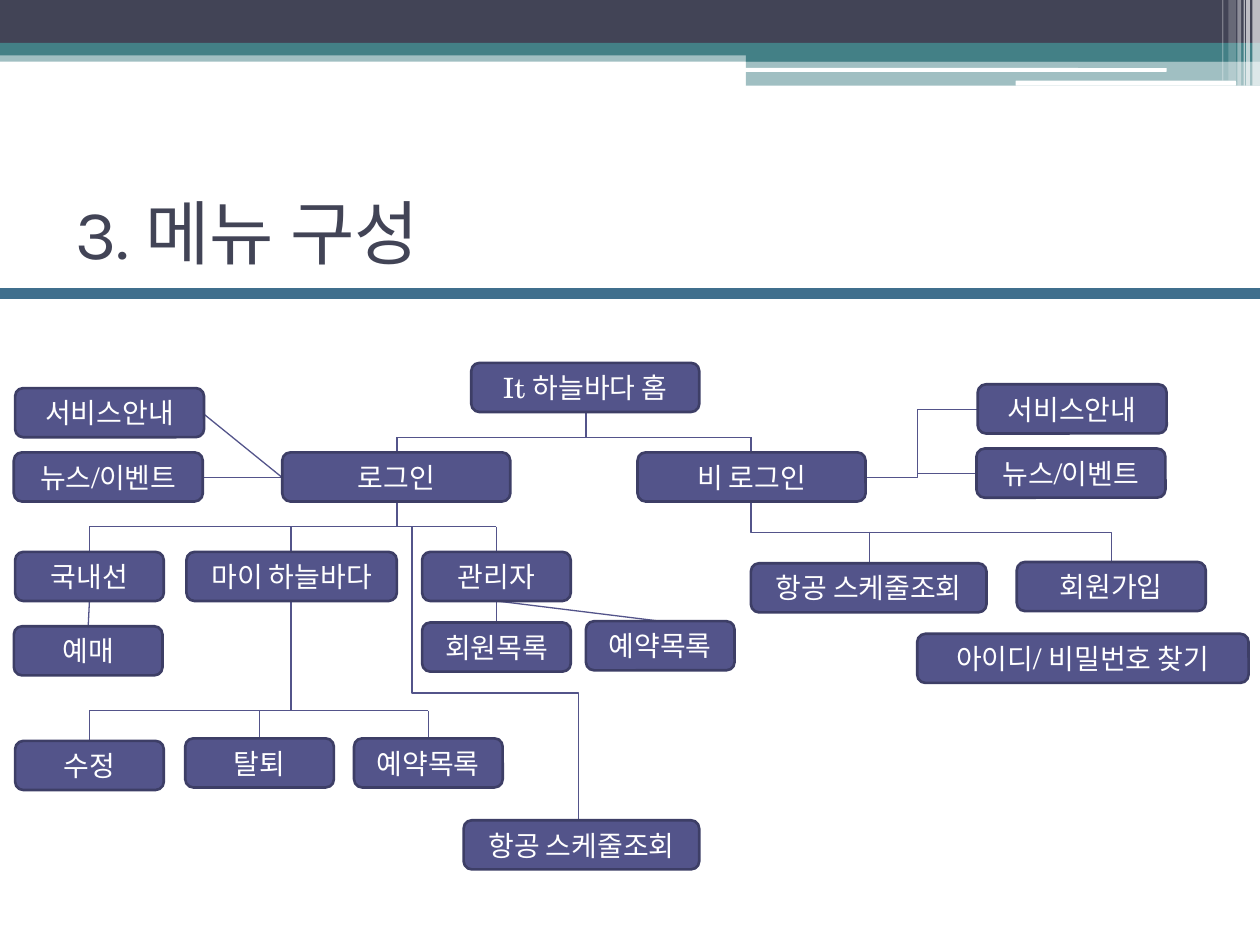
"""Builds the menu structure slide: banner, title and site tree."""
from lxml import etree
from pptx import Presentation
from pptx.dml.color import RGBColor
from pptx.enum.shapes import MSO_CONNECTOR, MSO_SHAPE
from pptx.enum.text import MSO_ANCHOR, PP_ALIGN
from pptx.oxml.ns import qn
from pptx.util import Inches, Pt

RECT, ROUND = MSO_SHAPE.RECTANGLE, MSO_SHAPE.ROUNDED_RECTANGLE
STRAIGHT, ELBOW = MSO_CONNECTOR.STRAIGHT, MSO_CONNECTOR.ELBOW
MIDDLE, CENTER = MSO_ANCHOR.MIDDLE, PP_ALIGN.CENTER
WHITE = RGBColor(0xFF, 0xFF, 0xFF)
NAVY = RGBColor(0x42, 0x44, 0x56)
TEAL = RGBColor(0x43, 0x80, 0x86)
BLUE = RGBColor(0x40, 0x6F, 0x8D)
VIOLET = RGBColor(0x53, 0x54, 0x8A)
EDGE = RGBColor(0x3D, 0x3E, 0x66)

deck = Presentation()
deck.slide_width, deck.slide_height = Inches(10), Inches(7.5)
COL, ROW = deck.slide_width / 100, deck.slide_height / 75
slide = deck.slides.add_slide(deck.slide_layouts[6])


def block(kind, left, top, wide, high, color, alpha=100):
    shape = slide.shapes.add_shape(kind, int(left * COL), int(top * ROW),
                                   int(wide * COL), int(high * ROW))
    shape.shadow.inherit = False
    shape.fill.solid()
    shape.fill.fore_color.rgb = color
    shape.line.fill.background()
    if alpha < 100:
        tint = shape.fill._xPr.find(".//" + qn("a:srgbClr"))
        etree.SubElement(tint, qn("a:alpha")).set("val", str(alpha * 1000))
    return shape


def link(kind, x1, y1, x2, y2, color=VIOLET, width=0.75):
    line = slide.shapes.add_connector(kind, int(x1 * COL), int(y1 * ROW),
                                      int(x2 * COL), int(y2 * ROW))
    line.line.color.rgb = color
    line.line.width = Pt(width)
    etree.SubElement(line._element.spPr, qn("a:effectLst"))
    return line


bands = [
    (RECT, 0, 4, 100, 0.9, TEAL, 50),
    (RECT, 0, 0, 100, 3.4, NAVY, 100),
    (RECT, 0, 3.4, 100, 1, TEAL, 100),
    (RECT, 59.2, 3.9, 40.8, 1, TEAL, 100),
    (RECT, 59.2, 4.8, 40.8, 2, TEAL, 50),
    (ROUND, 59.1, 5.4, 33.5, 0.3, WHITE, 100),
    (ROUND, 80.6, 6.4, 17.5, 0.4, WHITE, 100),
]
for band in bands:
    block(*band)

stripes = [(99.4, 0.6, 6.8, 65), (98.9, 0.3, 6.8, 65), (98.7, 0.1, 6.8, 60),
           (98.2, 0.3, 6.8, 40), (97.5, 0.6, 6.4, 20), (97, 0.1, 6.4, 30)]
for left, wide, high, alpha in stripes:
    block(RECT, left, 0, wide, high, WHITE, alpha)

title = slide.shapes.add_textbox(int(5 * COL), int(12.5 * ROW),
                                 int(90 * COL), int(11.7 * ROW))
title.text_frame.word_wrap = True
title.text_frame.vertical_anchor = MIDDLE
run = title.text_frame.paragraphs[0].add_run()
run.text = "3. 메뉴 구성"
run.font.size, run.font.name = Pt(40), "Karla"
run.font.color.rgb = NAVY
link(STRAIGHT, 0, 23.3, 100, 23.3, BLUE, 6)

falls = [
    (46.5, 32.8, 34.7), (31.5, 34.7, 35.9), (59.6, 34.7, 35.9),
    (31.5, 39.9, 41.8), (7.1, 41.8, 43.8), (23.1, 41.8, 43.8),
    (39.4, 41.8, 43.8), (39.4, 47.7, 49.4), (23.1, 47.7, 56.4),
    (7.1, 56.4, 58.8), (20.6, 56.4, 58.6), (34, 56.4, 58.6),
    (69, 42.2, 44.7),
]
for x, top, end in falls:
    link(STRAIGHT, x, top, x, end)

spans = [
    (34.7, 46.5, 31.5), (34.7, 46.5, 59.6), (41.8, 31.5, 7.1),
    (41.8, 31.5, 39.4), (56.4, 23.1, 7.1), (56.4, 23.1, 34),
    (37.9, 16, 24.8), (32.5, 72.8, 77.6), (37.6, 77.5, 72.8),
]
for y, left, end in spans:
    link(STRAIGHT, left, y, end, y)

for slant in [(16.1, 32.8, 22.4, 37.9), (39.4, 47.7, 52.4, 49.3),
              (7, 49.7, 7.1, 47.7)]:
    link(STRAIGHT, *slant)

corner = link(ELBOW, 68.7, 37.9, 72.8, 32.5)
corner._element.spPr.prstGeom.set("prst", "bentConnector2")

for x1, y1, x2, y2 in [(32.7, 41.8, 45.9, 68.2), (59.6, 39.9, 88.2, 44.6)]:
    midx, midy = (x1 + x2) / 2, (y1 + y2) / 2
    halfx, halfy = (y2 - y1) / 2, (x2 - x1) / 2
    bend = link(ELBOW, midx - halfx, midy - halfy, midx + halfx, midy + halfy)
    frame = bend._element.spPr.find(qn("a:xfrm"))
    frame.set("rot", "16200000")
    frame.set("flipH", "1")

menu = {
    18.1: [("It 하늘바다 홈", 37.4, 28.8), ("로그인", 22.4, 35.9),
           ("비 로그인", 50.6, 35.9)],
    15: [("서비스안내", 1.2, 30.8), ("뉴스/이벤트", 1.1, 35.9),
         ("서비스안내", 77.6, 30.5), ("뉴스/이벤트", 77.5, 35.6),
         ("회원가입", 80.7, 44.6)],
    11.8: [("국내선", 1.2, 43.8), ("관리자", 33.5, 43.8),
           ("예매", 1.1, 49.7), ("회원목록", 33.5, 49.4),
           ("예약목록", 46.5, 49.3), ("수정", 1.2, 58.8),
           ("탈퇴", 14.7, 58.6), ("예약목록", 28.1, 58.6)],
    16.7: [("마이 하늘바다", 14.8, 43.8)],
    18.7: [("항공 스케줄조회", 36.8, 65.1), ("항공 스케줄조회", 59.6, 44.7)],
    26.3: [("아이디/ 비밀번호 찾기", 72.8, 50.3)],
}
for wide, items in menu.items():
    for label, left, top in items:
        box = block(ROUND, left, top, wide, 3.9, VIOLET)
        box.line.color.rgb = EDGE
        box.line.width = Pt(1.5)
        box.text_frame.word_wrap = True
        box.text_frame.vertical_anchor = MIDDLE
        para = box.text_frame.paragraphs[0]
        para.alignment = CENTER
        run = para.add_run()
        run.text = label
        run.font.size, run.font.name = Pt(16), "TeX Gyre Schola"
        run.font.color.rgb = WHITE

deck.save("out.pptx")
